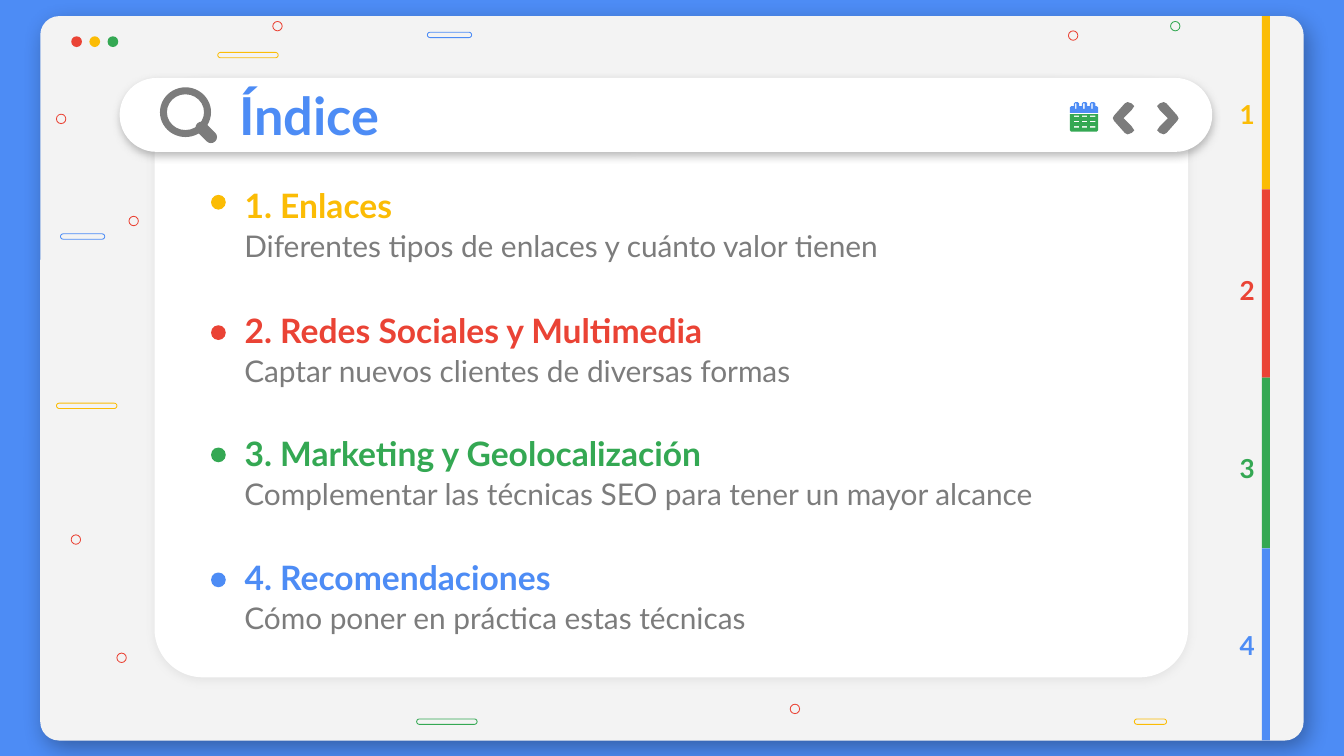
from dataclasses import dataclass

from lxml import etree
from pptx import Presentation
from pptx.dml.color import RGBColor
from pptx.enum.shapes import MSO_CONNECTOR, MSO_SHAPE
from pptx.enum.text import MSO_ANCHOR, MSO_AUTO_SIZE, PP_ALIGN
from pptx.oxml.ns import qn
from pptx.util import Inches, Pt

OVAL = MSO_SHAPE.OVAL
RECTANGLE = MSO_SHAPE.RECTANGLE
ROUNDED = MSO_SHAPE.ROUNDED_RECTANGLE
DONUT = MSO_SHAPE.DONUT
STRAIGHT = MSO_CONNECTOR.STRAIGHT
MIDDLE = MSO_ANCHOR.MIDDLE
NO_AUTOFIT = MSO_AUTO_SIZE.NONE
LEFT = PP_ALIGN.LEFT
CENTER = PP_ALIGN.CENTER

BLUE, RED, YELLOW, GREEN = "4D8CF5", "EA4335", "FBBC05", "34A853"
GRAY, PALE, WHITE = "7C7C7C", "F3F3F3", "FFFFFF"
COMPARISON_LAYOUT = 4
SLIDE_WIDTH = Inches(10)
SLIDE_HEIGHT = SLIDE_WIDTH * 9 // 16


@dataclass
class Section:
    heading: str
    description: str
    color: str
    top: float
    bullet_top: float
    number_top: float
    bar_top: float
    bar_bottom: float


@dataclass
class Ornament:
    left: float
    top: float
    width: float
    height: float
    color: str


@dataclass
class Shadow:
    color: str
    opacity: int
    blur: float
    distance: float
    angle: int


SECTIONS = [
    Section("1. Enlaces", "Diferentes tipos de enlaces y cuánto valor tienen",
            YELLOW, 1.36, 1.45, 0.72, 0.12, 1.41),
    Section("2. Redes Sociales y Multimedia", "Captar nuevos clientes de diversas formas",
            RED, 2.29, 2.42, 2.03, 1.41, 2.81),
    Section("3. Marketing y Geolocalización",
            "Complementar las técnicas SEO para tener un mayor alcance",
            GREEN, 3.21, 3.33, 3.35, 2.81, 4.08),
    Section("4. Recomendaciones", "Cómo poner en práctica estas técnicas",
            BLUE, 4.13, 4.26, 4.67, 4.08, 5.51),
]
RINGS = [Ornament(left, top, 0.07, 0.07, color) for left, top, color in [
    (0.53, 3.98, RED), (0.96, 1.61, RED), (0.42, 0.85, RED), (0.87, 4.86, RED),
    (7.95, 0.23, RED), (8.71, 0.16, GREEN), (2.03, 0.16, RED), (5.88, 5.24, RED)]]
PILLS = [Ornament(left, top, width, 0.04, color) for left, top, width, color in [
    (8.44, 5.35, 0.24, YELLOW), (3.1, 5.35, 0.45, GREEN), (0.45, 1.74, 0.33, BLUE),
    (0.42, 3, 0.45, YELLOW), (3.18, 0.24, 0.33, BLUE), (1.62, 0.39, 0.45, YELLOW)]]
CHEVRON = [(0.05, 0), (0.02, 0.01), (0, 0.03), (0.02, 0.06), (0.08, 0.12),
           (0.02, 0.18), (0, 0.21), (0.02, 0.23), (0.05, 0.24), (0.07, 0.23),
           (0.15, 0.14), (0.16, 0.12), (0.15, 0.1), (0.07, 0.01)]


def rgb(color: str) -> RGBColor:
    return RGBColor.from_string(color)


def style_shape(shape, fill: str | None, line: str | None = None) -> None:
    shape.shadow.inherit = False
    if fill:
        shape.fill.solid()
        shape.fill.fore_color.rgb = rgb(fill)
    else:
        shape.fill.background()
    if line:
        shape.line.color.rgb = rgb(line)
        shape.line.width = Pt(0.44)
    else:
        shape.line.fill.background()


def add_shape(slide, kind, left: float, top: float, width: float, height: float,
              fill: str | None = None, line: str | None = None,
              adjustment: float | None = None):
    shape = slide.shapes.add_shape(
        kind, Inches(left), Inches(top), Inches(width), Inches(height))
    style_shape(shape, fill, line)
    if adjustment is not None:
        shape.adjustments[0] = adjustment
    return shape


def add_shadow(shape, shadow: Shadow) -> None:
    effects = shape.element.spPr.find(qn("a:effectLst"))
    outer = etree.SubElement(
        effects, qn("a:outerShdw"), blurRad=str(Pt(shadow.blur)),
        dist=str(Pt(shadow.distance)), dir=str(shadow.angle * 60000),
        algn="bl", rotWithShape="0")
    color = etree.SubElement(outer, qn("a:srgbClr"), val=shadow.color)
    etree.SubElement(color, qn("a:alpha"), val=str(shadow.opacity * 1000))


def add_outline(slide, contours: list[list[tuple[float, float]]], fill: str) -> None:
    scaled = [[(Inches(x), Inches(y)) for x, y in contour] for contour in contours]
    builder = slide.shapes.build_freeform(*scaled[0][0])
    builder.add_line_segments(scaled[0][1:])
    for contour in scaled[1:]:
        builder.move_to(*contour[0])
        builder.add_line_segments(contour[1:])
    style_shape(builder.convert_to_shape(), fill)


def box_contour(left: float, top: float, width: float,
                height: float) -> list[tuple[float, float]]:
    return [(left, top), (left + width, top),
            (left + width, top + height), (left, top + height)]


def write_text(shape, text: str, *, left: float, top: float, width: float,
               height: float, size: float, color: str, bold: bool = False,
               alignment=LEFT) -> None:
    shape.left, shape.top = Inches(left), Inches(top)
    shape.width, shape.height = Inches(width), Inches(height)
    frame = shape.text_frame
    frame.word_wrap = True
    frame.auto_size = NO_AUTOFIT
    frame.vertical_anchor = MIDDLE
    frame.margin_left = frame.margin_right = Inches(0.1)
    frame.margin_top = frame.margin_bottom = Inches(0.1)
    paragraph = frame.paragraphs[0]
    paragraph.alignment = alignment
    paragraph.space_before = Pt(0)
    properties = paragraph._p.get_or_add_pPr()
    properties.set("marL", "0")
    properties.set("indent", "0")
    etree.SubElement(properties, qn("a:buNone"))
    run = paragraph.add_run()
    run.text = text
    run.font.name = "Lato"
    run.font.size = Pt(size)
    run.font.bold = bold
    run.font.color.rgb = rgb(color)


def draw_window(slide) -> None:
    window = add_shape(slide, ROUNDED, 0.3, 0.12, 9.4, 5.39, PALE, adjustment=0.026)
    add_shadow(window, Shadow("000000", 32, 12.4, 5.2, 57))
    panel = add_shape(slide, ROUNDED, 1.15, 0.6, 7.69, 4.44, WHITE, adjustment=0.081)
    add_shadow(panel, Shadow(GRAY, 12, 4.5, 1.5, 90))
    search_bar = add_shape(slide, ROUNDED, 0.89, 0.58, 8.13, 0.55, WHITE, adjustment=0.5)
    add_shadow(search_bar, Shadow(GRAY, 50, 4.5, 1.5, 90))
    for index, color in enumerate([RED, YELLOW, GREEN]):
        add_shape(slide, OVAL, 0.53 + 0.135 * index, 0.27, 0.08, 0.08, color)
    for kind, ornaments in [(OVAL, RINGS), (ROUNDED, PILLS)]:
        for item in ornaments:
            add_shape(slide, kind, item.left, item.top, item.width, item.height,
                      line=item.color, adjustment=0.5 if kind == ROUNDED else None)


def draw_magnifier(slide) -> None:
    add_shape(slide, DONUT, 1.19, 0.65, 0.38, 0.37, GRAY, adjustment=0.14)
    handle = slide.shapes.add_connector(
        STRAIGHT, Inches(1.5), Inches(0.95), Inches(1.57), Inches(1.02))
    handle.line.color.rgb = rgb(GRAY)
    handle.line.width = Pt(6.5)
    properties = handle.element.spPr
    properties.find(qn("a:ln")).set("cap", "rnd")
    etree.SubElement(properties, qn("a:effectLst"))


def draw_navigation(slide) -> None:
    add_outline(slide, [[(8.61 + x, 0.76 + y) for x, y in CHEVRON]], GRAY)
    add_outline(slide, [[(8.44 - x, 0.76 + y) for x, y in CHEVRON]], GRAY)
    columns = [7.99, 8.05, 8.11]
    page = [(7.96, 0.85), (8.17, 0.85), (8.17, 0.97), (8.16, 0.98),
            (7.97, 0.98), (7.96, 0.97)]
    days = [box_contour(x, y, 0.04, 0.01) for y in (0.86, 0.9, 0.94) for x in columns]
    add_outline(slide, [page] + days, GREEN)
    header = [(7.96, 0.84), (7.96, 0.8), (7.97, 0.79)]
    for x in columns:
        header += [(x, 0.79), (x, 0.77), (x + 0.01, 0.76),
                   (x + 0.03, 0.76), (x + 0.04, 0.77), (x + 0.04, 0.79)]
    header += [(8.16, 0.79), (8.17, 0.8), (8.17, 0.84)]
    slots = [box_contour(x + 0.01, 0.77, 0.01, 0.04) for x in columns]
    add_outline(slide, [header] + slots, BLUE)


def draw_section(slide, number: int, section: Section, placeholder) -> None:
    write_text(placeholder, section.heading, left=1.72, top=section.top,
               width=6.83, height=0.33, size=18, color=section.color, bold=True)
    write_text(slide.shapes.add_textbox(0, 0, 0, 0), section.description, left=1.72,
               top=section.top + 0.3, width=6.83, height=0.33, size=16, color=GRAY)
    write_text(slide.shapes.add_textbox(0, 0, 0, 0), str(number), left=9.04,
               top=section.number_top, width=0.48, height=0.26, size=14,
               color=section.color, bold=True, alignment=CENTER)
    add_shape(slide, OVAL, 1.57, section.bullet_top, 0.11, 0.11, section.color)
    add_shape(slide, RECTANGLE, 9.39, section.bar_top, 0.06,
              section.bar_bottom - section.bar_top, section.color)


def main() -> None:
    presentation = Presentation()
    presentation.slide_width, presentation.slide_height = SLIDE_WIDTH, SLIDE_HEIGHT
    slide = presentation.slides.add_slide(presentation.slide_layouts[COMPARISON_LAYOUT])
    slide.background.fill.solid()
    slide.background.fill.fore_color.rgb = rgb(BLUE)
    title, *headings = list(slide.placeholders)
    draw_window(slide)
    draw_magnifier(slide)
    for placeholder in [title, *headings]:
        slide.shapes._spTree.append(placeholder.element)
    write_text(title, "Índice", left=1.68, top=0.59, width=6.07, height=0.52,
               size=28, color=BLUE, bold=True)
    for number, (section, heading) in enumerate(zip(SECTIONS, headings), start=1):
        draw_section(slide, number, section, heading)
    draw_navigation(slide)
    presentation.save("out.pptx")


if __name__ == "__main__":
    main()
